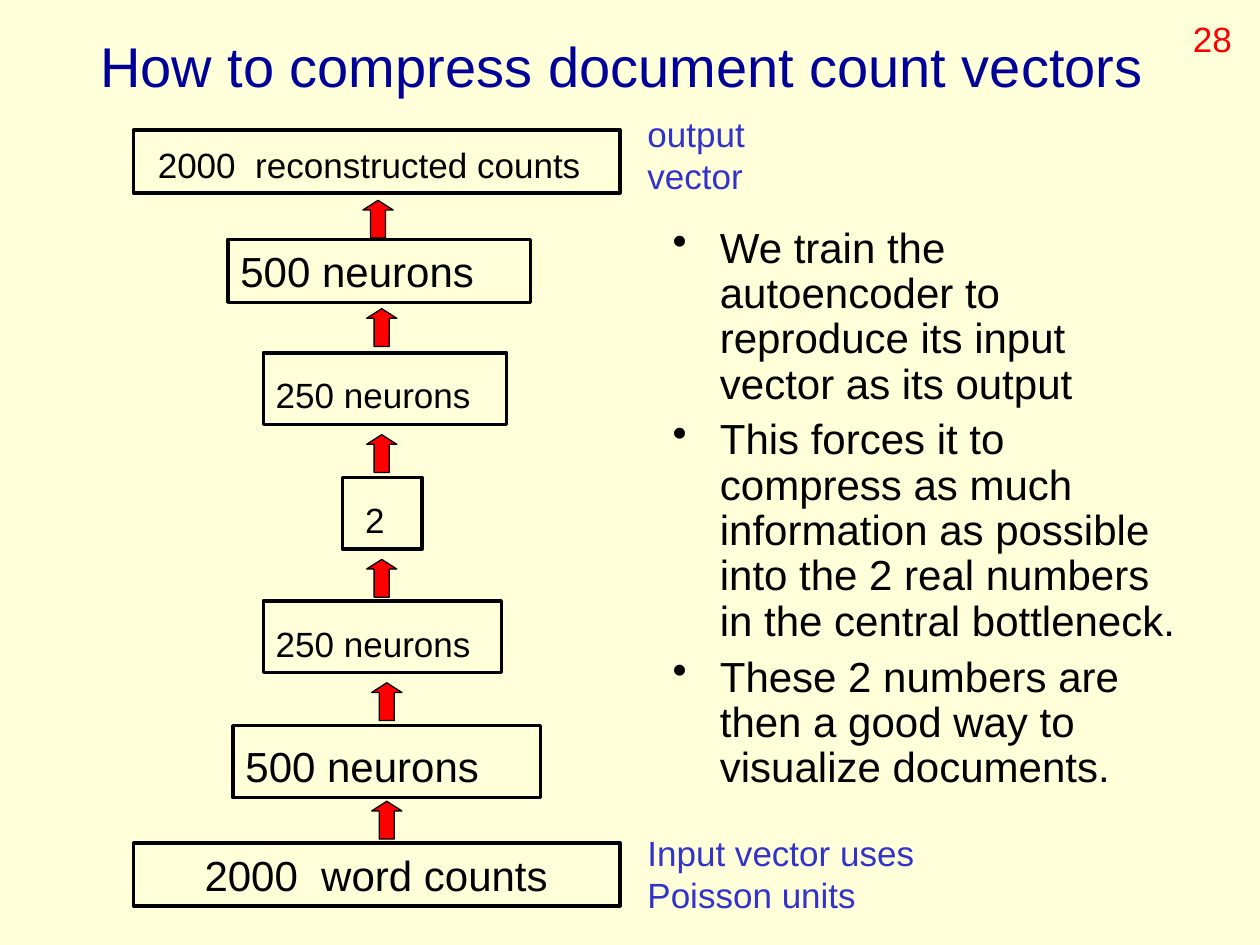
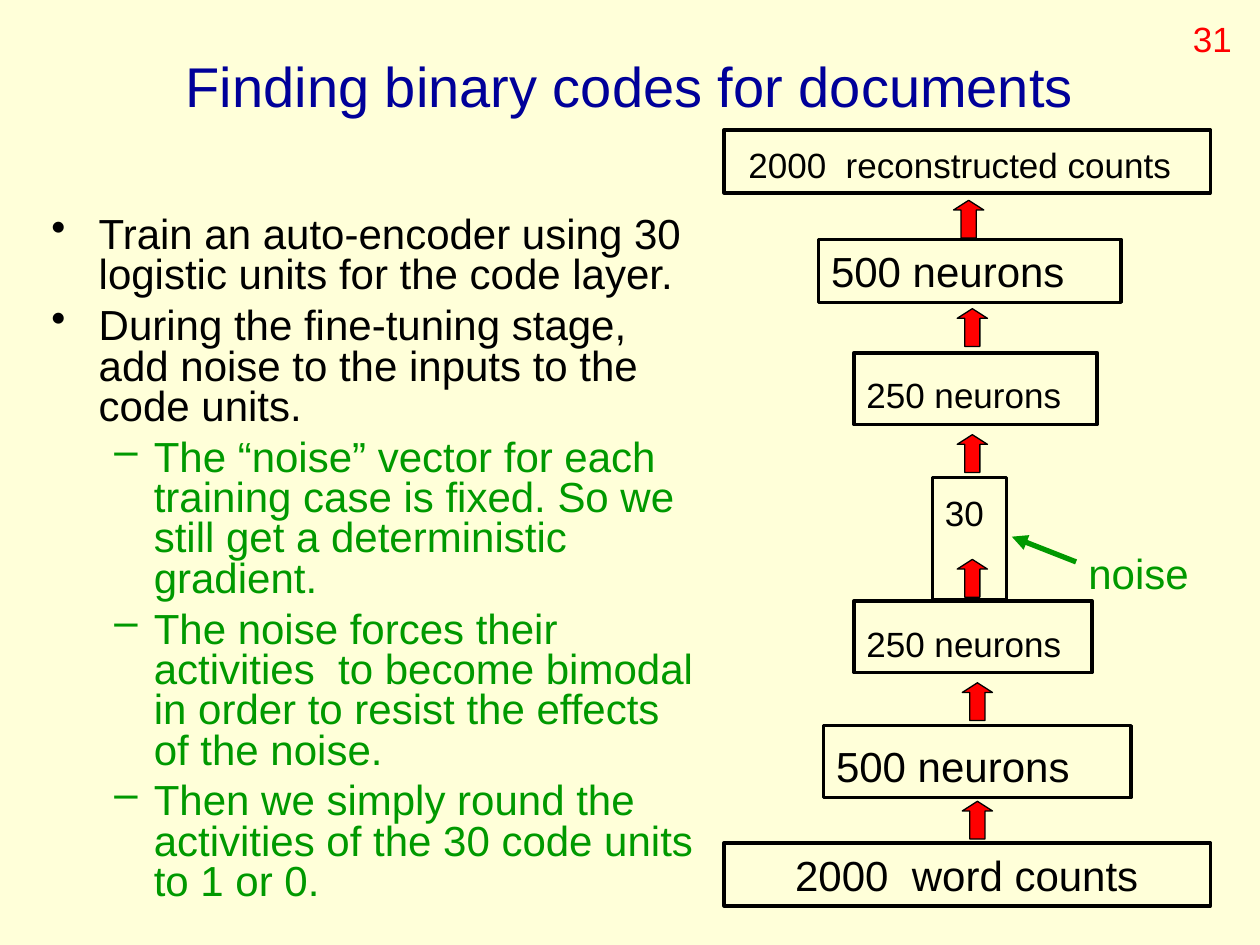
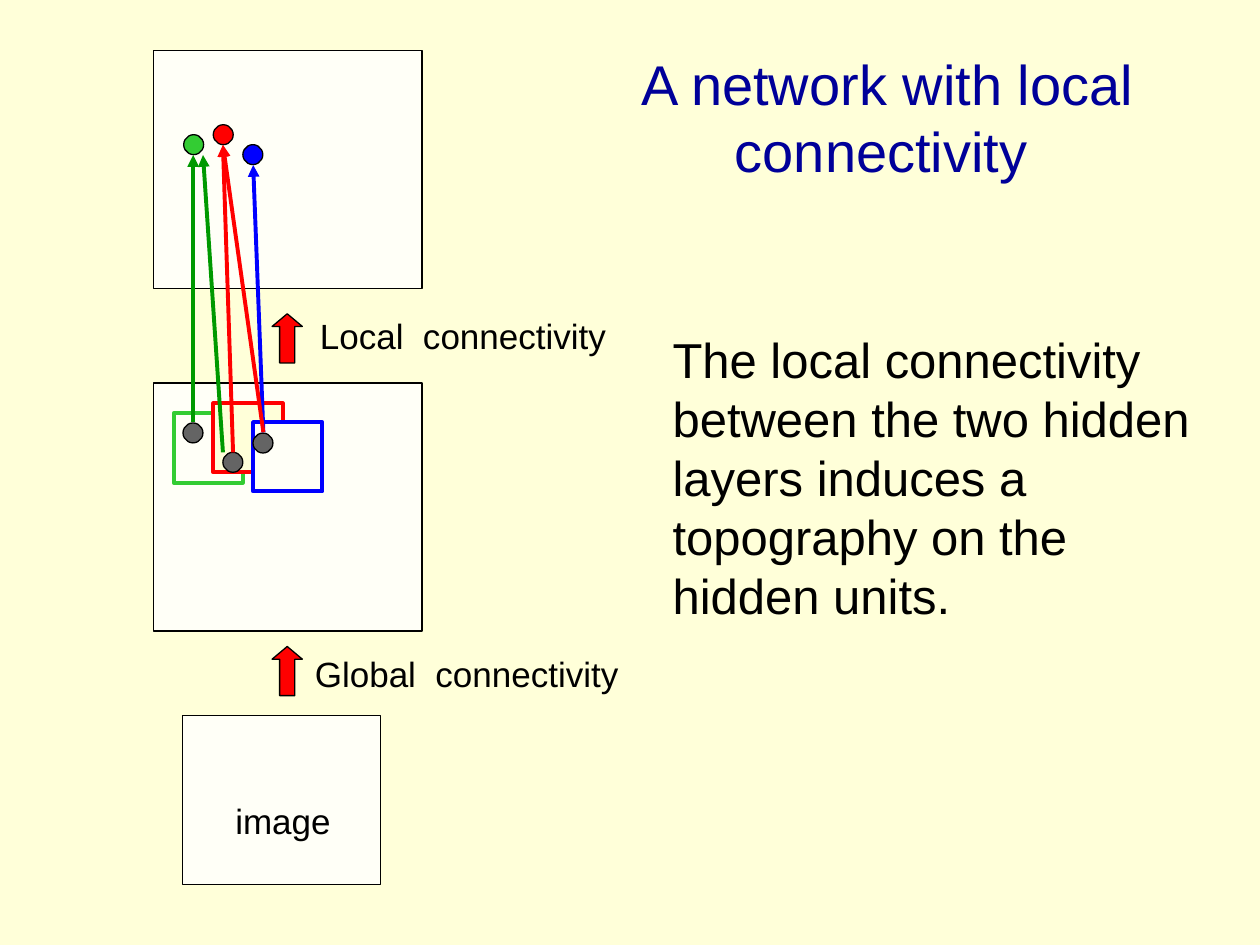
from typing import NamedTuple

from lxml.etree import SubElement
from pptx import Presentation
from pptx.dml.color import RGBColor
from pptx.enum.shapes import MSO_CONNECTOR, MSO_SHAPE
from pptx.enum.text import MSO_ANCHOR, PP_ALIGN
from pptx.oxml.ns import qn
from pptx.util import Pt

FONT = "Arial"
CREAM = RGBColor(0xFF, 0xFF, 0xD9)
IVORY = RGBColor(0xFF, 0xFF, 0xF7)
NAVY = RGBColor(0x00, 0x00, 0x99)
INDIGO = RGBColor(0x33, 0x33, 0xCC)
BLACK = RGBColor(0x00, 0x00, 0x00)
GRAY = RGBColor(0x64, 0x64, 0x64)
RED = RGBColor(0xFF, 0x00, 0x00)
BLUE = RGBColor(0x00, 0x00, 0xFF)
GREEN = RGBColor(0x00, 0x99, 0x00)
LIME = RGBColor(0x33, 0xCC, 0x33)

INSET_X, INSET_Y = 7.2, 3.6
ARROW_W = 17.3
DOT = 11.4
FIELD = 39.6


class Box(NamedTuple):
    left: float
    top: float
    width: float
    height: float


class Layer(NamedTuple):
    text: str
    box: Box
    size: float
    right: float = 0  # extra inset left of the text
    down: float = 0  # extra inset above the text


class Bullet(NamedTuple):
    text: str
    level: int = 0


class Style(NamedTuple):
    mark: str
    margin: float
    hang: float
    color: RGBColor


class Link(NamedTuple):
    start: tuple[float, float]
    end: tuple[float, float]
    color: RGBColor


STYLES = [Style("•", 27, 27, BLACK), Style("–", 58.5, 22.5, GREEN)]

CODE_2 = Layer("2", Box(195.8, 272.9, 45.4, 41), 20, 5.6, 8.5)
CODE_30 = Layer("30", Box(195.3, 272.9, 42.5, 69.8), 20, 0, 4.3)
LAYERS = [
    Layer("2000  reconstructed counts", Box(76.3, 74.2, 277.9, 36), 20, 6.7, 4.3),
    Layer("500 neurons", Box(130.3, 136.8, 172.8, 36), 24),
    Layer("250 neurons", Box(150.5, 201.6, 139, 41), 20, 0, 8.5),
    Layer("250 neurons", Box(150.5, 343.4, 136, 41), 20, 0, 8.5),
    Layer("500 neurons", Box(133.2, 414.7, 175.7, 41), 24, 0, 5),
    Layer("2000  word counts", Box(76.3, 481.7, 277.9, 36), 24, 33.4),
]
ARROWS = [(207.4, 114.5), (209.5, 176.4), (209.5, 248.4),
          (209.5, 319.7), (212.4, 390.2), (212.4, 457.9)]

TRAIN = [
    Bullet("We train the autoencoder to reproduce its input vector as its output"),
    Bullet("This forces it to compress as much information as possible into "
           "the 2 real numbers in the central bottleneck."),
    Bullet("These 2 numbers are then a good way to visualize documents."),
]
BINARY = [
    Bullet("Train an auto-encoder using 30 logistic units for the code layer."),
    Bullet("During the fine-tuning stage, add noise to the inputs to the code units."),
    Bullet("The “noise” vector for each training case is fixed. So we still get "
           "a deterministic gradient.", 1),
    Bullet("The noise forces their activities  to become bimodal in order to "
           "resist the effects of the noise.", 1),
    Bullet("Then we simply round the activities of the 30 code units to 1 or 0.", 1),
]

SHEETS = [Box(104.4, 409, 113, 96.5), Box(87.8, 218.9, 153.4, 141.8),
          Box(87.8, 28.8, 153.4, 136.1)]
FIELDS = [(99.2, 236.2, IVORY, LIME), (121.9, 230.4, CREAM, RED),
          (144.6, 241.2, IVORY, BLUE)]
DOTS = [(105, 77, LIME), (121.9, 71.3, RED), (138.8, 82.7, BLUE),
        (127.4, 258.5, GRAY), (144.6, 247.5, GRAY), (104.6, 241.7, GRAY)]
LINKS = [
    Link((110.4, 241.2), (110.4, 88.6), GREEN),
    Link((133.2, 258.5), (127.4, 82.8), RED),
    Link((150.5, 247), (144.7, 94.3), BLUE),
    Link((127.4, 258.5), (116, 88.6), GREEN),
    Link((150.5, 247), (127.4, 82.8), RED),
]


def place(box: Box) -> list:
    return [Pt(v) for v in box]


def write(para, text: str, size: float, color: RGBColor) -> None:
    run = para.add_run()
    run.text = text
    run.font.name = FONT
    run.font.size = Pt(size)
    run.font.color.rgb = color


def pad(frame, right: float = 0, down: float = 0) -> None:
    """Wrap the text and set its insets, with extra room left and above."""
    frame.word_wrap = True
    frame.margin_left, frame.margin_right = Pt(INSET_X + right), Pt(INSET_X)
    frame.margin_top, frame.margin_bottom = Pt(INSET_Y + down), Pt(INSET_Y)


def add_text(slide, box: Box, text: str, size: float, color=BLACK):
    frame = slide.shapes.add_textbox(*place(box)).text_frame
    pad(frame)
    write(frame.paragraphs[0], text, size, color)
    return frame


def add_title(slide, box: Box, text: str) -> None:
    frame = add_text(slide, box, text, 32, NAVY)
    frame.vertical_anchor = MSO_ANCHOR.MIDDLE
    frame.paragraphs[0].alignment = PP_ALIGN.CENTER


def add_number(slide, text: str) -> None:
    add_text(slide, Box(674.6, 6.5, 39.6, 31.7), text, 20, RED)


def add_form(slide, kind, box: Box, fill=None, line=BLACK, width: float = 0.75):
    shape = slide.shapes.add_shape(kind, *place(box))
    shape.shadow.inherit = False
    if fill is None:
        shape.fill.background()
    else:
        shape.fill.solid()
        shape.fill.fore_color.rgb = fill
    shape.line.color.rgb = line
    shape.line.width = Pt(width)
    return shape


def add_arrow(slide, left: float, top: float, height: float, head: float) -> None:
    box = Box(left, top, ARROW_W, height)
    shape = add_form(slide, MSO_SHAPE.UP_ARROW, box, RED)
    shape.adjustments[0] = 0.5
    shape.adjustments[1] = head


def add_link(slide, link: Link, width: float) -> None:
    ends = [Pt(v) for v in link.start + link.end]
    line = slide.shapes.add_connector(MSO_CONNECTOR.STRAIGHT, *ends)
    line.line.color.rgb = link.color
    line.line.width = Pt(width)
    SubElement(line.line._get_or_add_ln(), qn("a:tailEnd"), type="triangle")
    SubElement(line._element.spPr, qn("a:effectLst"))


def add_list(slide, box: Box, items: list[Bullet], spacing: float) -> None:
    frame = slide.shapes.add_textbox(*place(box)).text_frame
    pad(frame)
    for i, item in enumerate(items):
        style = STYLES[item.level]
        para = frame.add_paragraph() if i else frame.paragraphs[0]
        props = para._p.get_or_add_pPr()
        props.set("marL", str(Pt(style.margin)))
        props.set("indent", str(-Pt(style.hang)))
        SubElement(props, qn("a:buChar"), char=style.mark)
        para.level = item.level
        para.line_spacing = spacing
        if i:
            para.space_before = Pt(6)
        write(para, item.text, 24, style.color)


def add_tower(slide, code: Layer, shift: float = 0) -> None:
    """Draw the autoencoder around its code layer, moved right by shift."""
    for layer in LAYERS + [code]:
        box = layer.box._replace(left=layer.box.left + shift)
        shape = add_form(slide, MSO_SHAPE.RECTANGLE, box, width=2)
        frame = shape.text_frame
        pad(frame, layer.right, layer.down)
        frame.vertical_anchor = MSO_ANCHOR.TOP
        para = frame.paragraphs[0]
        para.alignment = PP_ALIGN.LEFT
        write(para, layer.text, layer.size, BLACK)
    for left, top in ARROWS:
        add_arrow(slide, left + shift, top, 21.6, 0.32)


def draw_counts(slide) -> None:
    add_title(slide, Box(31.5, -7.9, 648, 90), "How to compress document count vectors")
    add_list(slide, Box(377.3, 126, 306.7, 356.4), TRAIN, 0.9)
    add_tower(slide, CODE_2)
    add_text(slide, Box(362.9, 471.6, 175.7, 55.4),
             "Input vector uses Poisson units", 20, INDIGO)
    add_text(slide, Box(362.9, 60.5, 90.7, 55.4), "output vector", 20, INDIGO)
    add_number(slide, "28")


def draw_binary(slide) -> None:
    add_title(slide, Box(36, 3.6, 648, 90), "Finding binary codes for documents")
    add_list(slide, Box(22.3, 120.7, 385.2, 410), BINARY, 0.8)
    add_tower(slide, CODE_30, 337.5)
    add_text(slide, Box(614.9, 309.6, 100, 36), "noise", 24, GREEN)
    add_link(slide, Link((614.9, 321.1), (578.2, 306.7), GREEN), 3)
    add_number(slide, "31")


def draw_local(slide) -> None:
    add_title(slide, Box(332.6, 21.6, 342, 90), " A network with local connectivity")
    for sheet in SHEETS:
        add_form(slide, MSO_SHAPE.RECTANGLE, sheet, IVORY)
    for top in (369.4, 179.3):
        add_arrow(slide, 155.5, top, 28.1, 0.42)
    for left, top, fill, line in FIELDS:
        box = Box(left, top, FIELD, FIELD)
        add_form(slide, MSO_SHAPE.RECTANGLE, box, fill, line, 2.25)
    for left, top, fill in DOTS:
        add_form(slide, MSO_SHAPE.OVAL, Box(left, top, DOT, DOT), fill)
    for link in LINKS:
        add_link(slide, link, 2.25)
    add_text(slide, Box(127.4, 453.6, 79.2, 31.7), "image", 20)
    add_text(slide, Box(172.8, 369.4, 209.5, 31.7), "Global  connectivity", 20)
    add_text(slide, Box(175.7, 176.4, 204.5, 31.7), "Local  connectivity", 20)
    add_text(slide, Box(377.3, 185, 314.6, 175.7),
             "The local connectivity between the two hidden layers induces "
             "a topography on the hidden units.", 28)


def main() -> None:
    deck = Presentation()
    deck.slide_width, deck.slide_height = Pt(720), Pt(540)
    fill = deck.slide_master.background.fill
    fill.solid()
    fill.fore_color.rgb = CREAM
    for draw in (draw_counts, draw_binary, draw_local):
        draw(deck.slides.add_slide(deck.slide_layouts[6]))
    deck.save("out.pptx")


if __name__ == "__main__":
    main()
